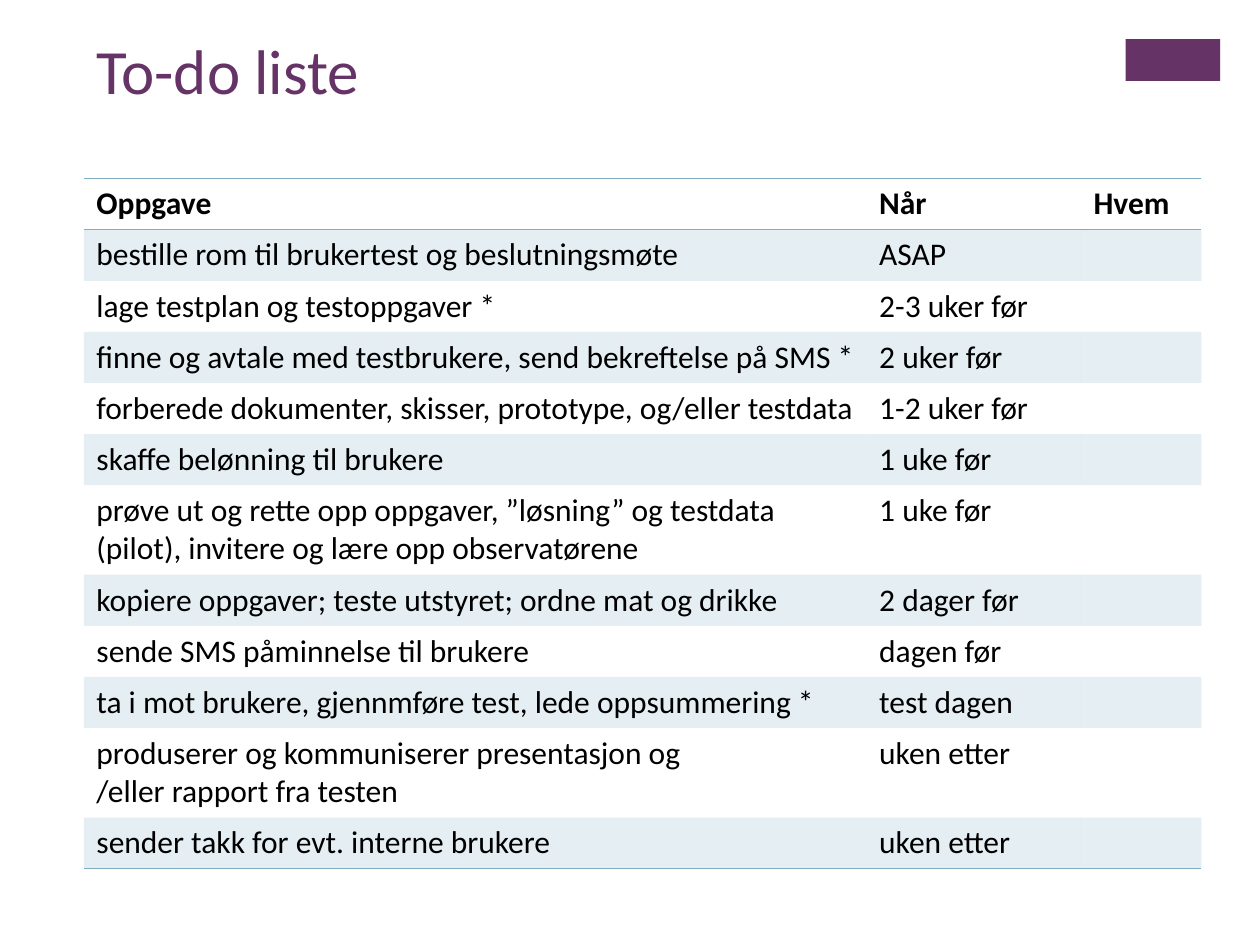
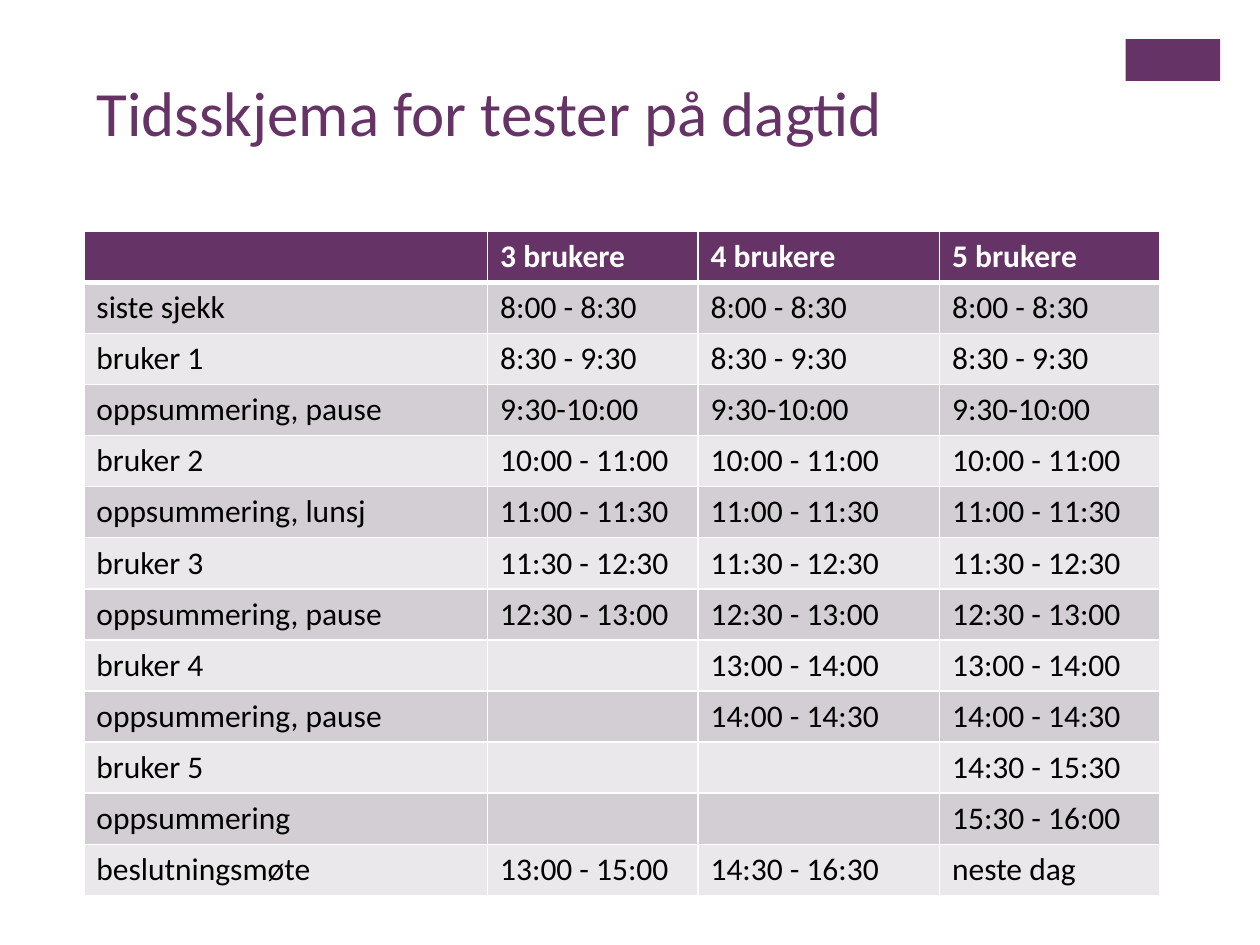
from lxml.etree import SubElement
from pptx import Presentation
from pptx.dml.color import RGBColor
from pptx.enum.shapes import MSO_SHAPE as SHAPE
from pptx.enum.text import MSO_ANCHOR as ANCHOR, PP_ALIGN as ALIGN
from pptx.oxml import parse_xml
from pptx.oxml.ns import nsdecls, qn
from pptx.util import Cm, Pt

PURPLE, BLUE, BLACK, WHITE = "663366", "7FAEC3", "000000", "FFFFFF"
DARK_BAND, LIGHT_BAND = "D3CED3", "EAE8EA"
FONT = "Calibri"
LEFT = 1.69
ROW_HEIGHT = 1.03
PLAIN_STYLE = "{2D5ABB26-0587-4C30-8999-92F81FD0307C}"


def rgb(value):
    """Turn a hex string into a colour."""
    return RGBColor.from_string(value)


def set_font(p, size, color, bold=False):
    """Format a whole paragraph."""
    f = p.font
    f.name, f.size, f.bold = FONT, Pt(size), bold
    f.color.rgb = rgb(color)


def set_borders(cell, borders):
    """Draw cell edges from a dict of side (L, R, T, B) to (colour, points)."""
    tc_pr = cell._tc.get_or_add_tcPr()
    sides = [side for side in "LRTB" if side in borders]
    for i, side in enumerate(sides):
        color, width = borders[side]
        tc_pr.insert(i, parse_xml(
            f'<a:ln{side} {nsdecls("a")} w="{Pt(width)}"><a:solidFill>'
            f'<a:srgbClr val="{color}"/></a:solidFill></a:ln{side}>'))


def set_fill(cell, color, opacity=100):
    """Fill a cell, or leave it clear when there is no colour."""
    if color is None:
        cell.fill.background()
        return
    cell.fill.solid()
    cell.fill.fore_color.rgb = rgb(color)
    if opacity < 100:
        clr = cell._tc.tcPr.find(qn("a:solidFill"))[0]
        SubElement(clr, qn("a:alpha"), val=str(opacity * 1000))


class Deck:
    """Holds the presentation, its style and the current slide."""

    def __init__(self):
        """Start an empty 4:3 presentation."""
        self.prs = Presentation()
        self.prs.slide_width, self.prs.slide_height = Cm(25.4), Cm(19.05)
        self.s = None

    def slide(self, title, top):
        """Add a slide with the corner block and a title."""
        self.s = self.prs.slides.add_slide(self.prs.slide_layouts[5])
        self.block(22.69, 0.79, 1.91, 0.84)
        self.title(title, top)

    def block(self, x, y, w, h):
        """Add a plain purple rectangle."""
        sp = self.s.shapes.add_shape(SHAPE.RECTANGLE, Cm(x), Cm(y), Cm(w), Cm(h))
        sp.shadow.inherit = False
        sp.fill.solid()
        sp.fill.fore_color.rgb = rgb(PURPLE)
        sp.line.fill.background()

    def title(self, text, top):
        """Place and format the title placeholder."""
        sp = self.s.shapes.title
        sp.left, sp.top, sp.width, sp.height = Cm(LEFT), Cm(top), Cm(20.98), Cm(3.1)
        tf = sp.text_frame
        tf.word_wrap = True
        tf.vertical_anchor = ANCHOR.TOP
        p = tf.paragraphs[0]
        p.text = text
        p.alignment = ALIGN.LEFT
        set_font(p, 36, PURPLE)

    def table(self, top, widths, rows, style):
        """Add a table; style(row, last) gives text colour, fill and borders."""
        shape = self.s.shapes.add_table(
            len(rows), len(widths), Cm(LEFT), Cm(top),
            Cm(sum(widths)), Cm(ROW_HEIGHT * len(rows)))
        tbl = shape.table
        tbl.first_row = tbl.horz_banding = False
        tbl._tbl.tblPr.find(qn("a:tableStyleId")).text = PLAIN_STYLE
        for column, width in zip(tbl.columns, widths):
            column.width = Cm(width)
        for i, row in enumerate(rows):
            tbl.rows[i].height = Cm(ROW_HEIGHT)
            color, fill, borders = style(i, len(rows) - 1)
            for cell, text in zip(tbl.rows[i].cells, row):
                cell.margin_right = Cm(0.2)
                p = cell.text_frame.paragraphs[0]
                p.text = text
                set_font(p, 18, color, bold=i == 0)
                set_fill(cell, *fill)
                set_borders(cell, borders)


def ruled(row, last):
    """Blue rules around the header and below, pale bands on odd rows."""
    rule = (BLUE, 1)
    borders = {"T": rule, "B": rule} if row == 0 else {"B": rule} if row == last else {}
    return BLACK, (BLUE, 20) if row % 2 else (None,), borders


def gridded(row, last):
    """Purple header, two greys in turn, white grid."""
    borders = dict.fromkeys("LRTB", (WHITE, 1))
    if row == 0:
        return WHITE, (PURPLE,), {**borders, "B": (WHITE, 3)}
    if row == 1:
        borders["T"] = (WHITE, 3)
    return BLACK, (DARK_BAND if row % 2 else LIGHT_BAND,), borders


TASKS = [
    ("Oppgave", "Når", "Hvem"),
    ("bestille rom til brukertest og beslutningsmøte", "ASAP", ""),
    ("lage testplan og testoppgaver *", "2-3 uker før", ""),
    ("finne og avtale med testbrukere, send bekreftelse på SMS *", "2 uker før", ""),
    ("forberede dokumenter, skisser, prototype, og/eller testdata", "1-2 uker før", ""),
    ("skaffe belønning til brukere", "1 uke før", ""),
    ("prøve ut og rette opp oppgaver, ”løsning” og testdata (pilot), "
     "invitere og lære opp observatørene", "1 uke før", ""),
    ("kopiere oppgaver; teste utstyret; ordne mat og drikke", "2 dager før", ""),
    ("sende SMS påminnelse til brukere", "dagen før", ""),
    ("ta i mot brukere, gjennmføre test, lede oppsummering *", "test dagen", ""),
    ("produserer og kommuniserer presentasjon og\n/eller rapport fra testen",
     "uken etter", ""),
    ("sender takk for evt. interne brukere", "uken etter", ""),
]

# Activity, time, and the smallest number of users that needs it
SESSIONS = [
    ("siste sjekk", "8:00 - 8:30", 3),
    ("bruker 1", "8:30 - 9:30", 3),
    ("oppsummering, pause", "9:30-10:00", 3),
    ("bruker 2", "10:00 - 11:00", 3),
    ("oppsummering, lunsj", "11:00 - 11:30", 3),
    ("bruker 3", "11:30 - 12:30", 3),
    ("oppsummering, pause", "12:30 - 13:00", 3),
    ("bruker 4", "13:00 - 14:00", 4),
    ("oppsummering, pause", "14:00 - 14:30", 4),
    ("bruker 5", "14:30 - 15:30", 5),
    ("oppsummering", "15:30 - 16:00", 5),
]
USERS = (3, 4, 5)
SCHEDULE = [
    ("", *(f"{n} brukere" for n in USERS)),
    *((name, *(time if n >= least else "" for n in USERS))
      for name, time, least in SESSIONS),
    ("beslutningsmøte", "13:00 - 15:00", "14:30 - 16:30", "neste dag"),
]

deck = Deck()
deck.slide("To-do liste", 0.5)
deck.table(3.6, (15.78, 4.32, 2.43), TASKS, ruled)
deck.slide("Tidsskjema for tester på dagtid", 1.35)
deck.table(4.66, (8.14, 4.24, 4.87, 4.44), SCHEDULE, gridded)
deck.prs.save("out.pptx")
